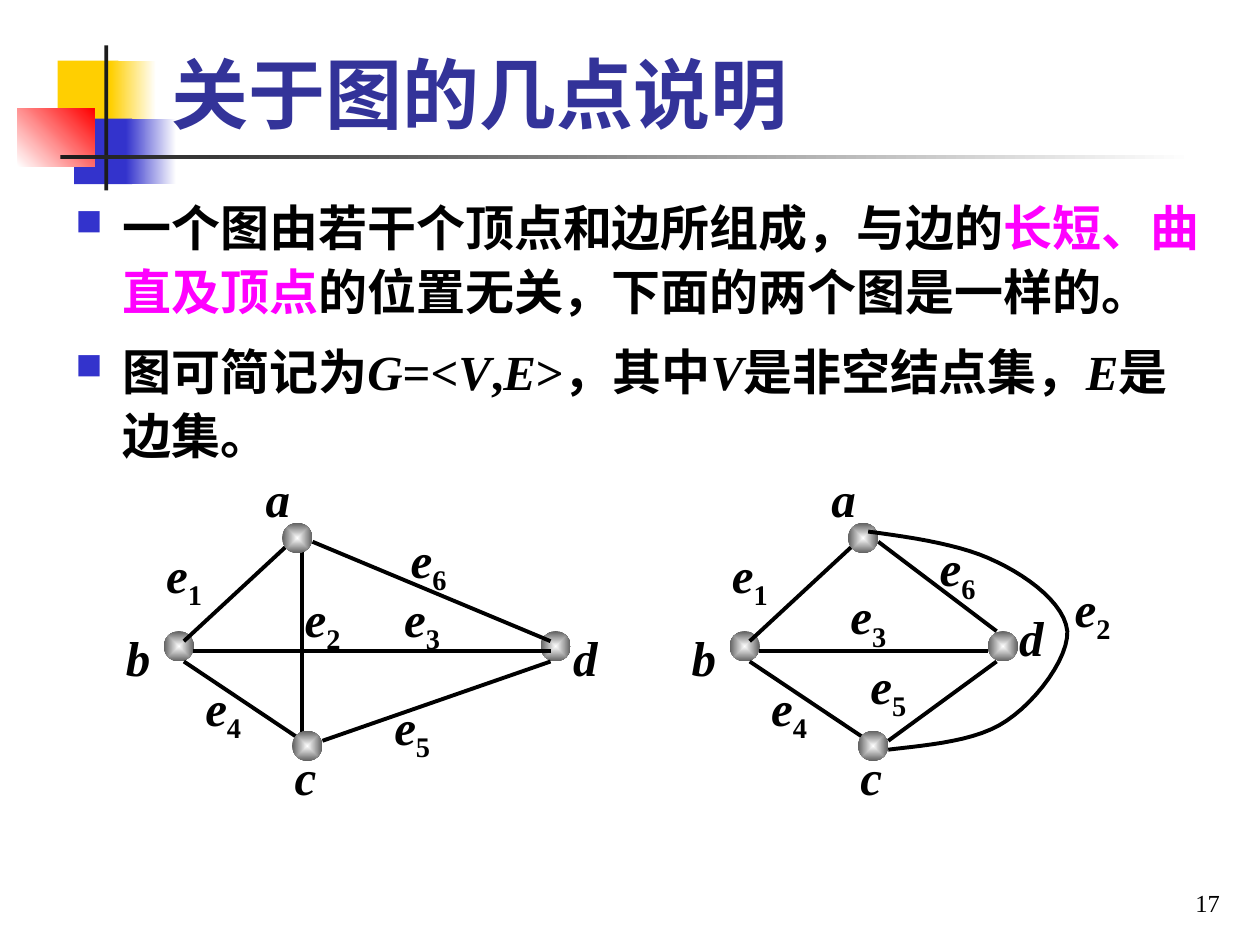
from lxml.etree import SubElement
from pptx import Presentation
from pptx.dml.color import RGBColor
from pptx.enum.shapes import MSO_CONNECTOR, MSO_SHAPE
from pptx.enum.text import MSO_ANCHOR, PP_ALIGN
from pptx.oxml.ns import qn
from pptx.util import Pt

BLACK = RGBColor(0x00, 0x00, 0x00)
WHITE = RGBColor(0xFF, 0xFF, 0xFF)
DARK = RGBColor(0x1C, 0x1C, 0x1C)
GRAY = RGBColor(0x5F, 0x5F, 0x5F)
YELLOW = RGBColor(0xFF, 0xCF, 0x01)
BLUE = RGBColor(0x33, 0x33, 0xCC)
NAVY = RGBColor(0x33, 0x33, 0x99)
RED = RGBColor(0xFF, 0x00, 0x00)
MAGENTA = RGBColor(0xFF, 0x00, 0xFF)

SERIF = {"name": "Times New Roman", "size": Pt(28), "bold": True, "italic": False}
ITALIC = {**SERIF, "italic": True}
NODE = 17.3  # vertex diameter

# Vertex, edge and label places, in points from the graph's corner
LEFT_GRAPH = {
    "nodes": {"a": (96.5, 34.6), "b": (28.8, 96.5), "c": (102.2, 153.4), "d": (244.1, 96.5)},
    "edges": [
        (40.3, 102.2, 100.1, 46.8), (40.3, 113.8, 108, 159.1),
        (113.8, 45.4, 249.8, 102.2), (119.5, 159.1, 249.8, 113.8),
        (45.4, 108, 249.8, 108), (108, 51.1, 108, 159.1),
    ],
    "labels": {
        "e1": (23, 43.2), "e2": (102.2, 68.4), "e3": (159.1, 68.4),
        "e4": (45.4, 119.5), "e5": (153.4, 130.3), "e6": (162.7, 34.6),
        "a": (79.9, 0), "b": (0, 90.7), "c": (96.5, 159.1), "d": (255.6, 90.7),
    },
    "curve": [],
}
# The right graph moves vertex d and bends edge e2
RIGHT_GRAPH = {
    "nodes": {**LEFT_GRAPH["nodes"], "d": (176.4, 96.5)},
    "edges": LEFT_GRAPH["edges"][:2] + [
        (113.8, 45.4, 181.4, 96.5), (119.5, 159.1, 181.4, 113.8), (45.4, 108, 176.4, 108),
    ],
    "labels": {
        **LEFT_GRAPH["labels"], "e2": (218.9, 62.6), "e3": (90.7, 67),
        "e5": (102.2, 106.6), "e6": (141.8, 39.6), "d": (187.2, 79.2),
    },
    "curve": [
        (119.5, 164.2), (144.7, 161.3), (170.6, 159.1), (187.2, 147.6), (204.5, 136.1),
        (222.5, 111.6), (221.8, 96.5), (220.3, 81.4), (200.9, 66.2), (181.4, 56.9),
        (162.7, 47.5), (135.4, 43.2), (108, 39.6),
    ],
}


def add_run(p, text, fmt, color=BLACK, baseline=None):
    r = p.add_run()
    r.text = text
    for name, value in fmt.items():
        setattr(r.font, name, value)
    r.font.color.rgb = color
    if baseline:
        r._r.get_or_add_rPr().set("baseline", str(baseline))


def add_text(shapes, box, wrap=True, anchor=MSO_ANCHOR.TOP):
    tf = shapes.add_textbox(*map(Pt, box)).text_frame
    tf.word_wrap = wrap
    tf.vertical_anchor = anchor
    return tf


def add_filled(shapes, kind, box, start, end=None, angle=0):
    """Shape without outline; two colours make a gradient, angle None a radial one."""
    sp = shapes.add_shape(kind, *map(Pt, box))
    sp.shadow.inherit = False
    sp.line.fill.background()
    if end is None:
        sp.fill.solid()
        sp.fill.fore_color.rgb = start
        return
    sp.fill.gradient()
    for stop, color, position in zip(sp.fill.gradient_stops, (start, end), (0, 1)):
        stop.color.rgb = color
        stop.position = position
    if angle is not None:
        sp.fill.gradient_angle = angle
        return
    grad = sp._element.spPr.find(qn("a:gradFill"))
    grad.remove(grad.find(qn("a:lin")))
    radial = SubElement(grad, qn("a:path"), {"path": "shape"})
    SubElement(radial, qn("a:fillToRect"), dict.fromkeys("ltrb", "50000"))


def add_decoration(shapes, x, y):
    rect = MSO_SHAPE.RECTANGLE
    for (dx, dy, w, h), *fill in [
        ((23, 8.6, 34.6, 37.4), YELLOW),
        ((53.3, 8.6, 25.9, 37.4), YELLOW, WHITE),
        ((32.4, 41.8, 33.1, 37.4), BLUE),
        ((61.9, 41.8, 28.8, 37.4), BLUE, WHITE),
        ((0, 36, 43.9, 33.1), WHITE, RED, 45),
        ((49.7, 0, 2.2, 82.8), DARK),
        ((24.5, 62.6, 648, 2.2), DARK, WHITE),
    ]:
        add_filled(shapes, rect, (x + dx, y + dy, w, h), *fill)


def add_title(shapes, box):
    tf = add_text(shapes, box, anchor=MSO_ANCHOR.BOTTOM)
    fmt = {"name": "Lato", "size": Pt(44), "bold": True}
    add_run(tf.paragraphs[0], "关于图的几点说明", fmt, NAVY)


def add_bullet(p):
    pPr = p._p.get_or_add_pPr()
    pPr.set("marL", str(Pt(27)))
    pPr.set("indent", str(-Pt(27)))
    SubElement(SubElement(pPr, qn("a:buClr")), qn("a:srgbClr"), val=str(BLUE))
    SubElement(pPr, qn("a:buSzPct"), val="75000")
    SubElement(pPr, qn("a:buChar"), char="■")


def add_body(shapes, box):
    tf = add_text(shapes, box)
    points = [
        [("一个图由若干个顶点和边所组成，与边的", SERIF), ("长短、曲直及顶点", SERIF, MAGENTA),
         ("的位置无关，下面的两个图是一样的。", SERIF)],
        [("图可简记为", SERIF), ("G", ITALIC), ("=<", SERIF), ("V", ITALIC), (",", SERIF),
         ("E", ITALIC), (">，其中", SERIF), ("V", ITALIC), ("是非空结点集，", SERIF),
         ("E", ITALIC), ("是边集。", SERIF)],
    ]
    for i, runs in enumerate(points):
        p = tf.add_paragraph() if i else tf.paragraphs[0]
        add_bullet(p)
        p.line_spacing = 1.1
        p.space_before = Pt(8.4 if i else 0)
        for run in runs:
            add_run(p, *run)


def style_line(line):
    line.color.rgb = BLACK
    line.width = Pt(2.25)


def bezier_points(points, steps=12):
    """Points along a chain of cubic curves."""
    for i in range(0, len(points) - 1, 3):
        for k in range(1, steps + 1):
            t = k / steps
            weights = ((1 - t) ** 3, 3 * t * (1 - t) ** 2, 3 * t * t * (1 - t), t ** 3)
            yield tuple(sum(w * q[axis] for w, q in zip(weights, points[i:i + 4]))
                        for axis in (0, 1))


def add_graph(slide, x, y, graph):
    shapes = slide.shapes.add_group_shape().shapes

    def add_nodes(names):
        for name in names:
            dx, dy = graph["nodes"][name]
            add_filled(shapes, MSO_SHAPE.OVAL, (x + dx, y + dy, NODE, NODE), WHITE, GRAY, None)

    # Edges run over vertices b and d, and under a and c
    add_nodes("bd")
    for x1, y1, x2, y2 in graph["edges"]:
        edge = shapes.add_connector(MSO_CONNECTOR.STRAIGHT,
                                    *map(Pt, (x + x1, y + y1, x + x2, y + y2)))
        style_line(edge.line)
        SubElement(edge._element.spPr, qn("a:effectLst"))
    add_nodes("ac")

    # Labels, with the edge number as a subscript
    for label, (dx, dy) in graph["labels"].items():
        width = 36.7 if label[1:] else 28.8
        p = add_text(shapes, (x + dx, y + dy, width, 41), wrap=False).paragraphs[0]
        add_run(p, label[0], ITALIC)
        if label[1:]:
            add_run(p, label[1:], SERIF, baseline=-25000)

    # Bent edge
    if graph["curve"]:
        start, *rest = [(Pt(x + dx), Pt(y + dy)) for dx, dy in
                        [graph["curve"][0], *bezier_points(graph["curve"])]]
        builder = shapes.build_freeform(*start)
        builder.add_line_segments(rest, close=False)
        sp = builder.convert_to_shape()
        sp.shadow.inherit = False
        sp.fill.background()
        style_line(sp.line)


def add_page_number(shapes, box):
    p = add_text(shapes, box, anchor=MSO_ANCHOR.BOTTOM).paragraphs[0]
    p.alignment = PP_ALIGN.RIGHT
    add_run(p, "17", {"name": "Times New Roman", "size": Pt(14)})


def main():
    prs = Presentation()
    prs.slide_width, prs.slide_height = Pt(720), Pt(540)
    s = prs.slides.add_slide(prs.slide_layouts[6])
    add_decoration(s.shapes, 10, 26)
    add_title(s.shapes, (90.7, 5.8, 613.4, 77))
    add_body(s.shapes, (36, 105.8, 666, 175.7))
    for x, graph in ((64.8, LEFT_GRAPH), (388.1, RIGHT_GRAPH)):
        add_graph(s, x, 264.2, graph)
    add_page_number(s.shapes, (554.4, 491.8, 149.8, 36))
    prs.save("out.pptx")


if __name__ == "__main__":
    main()
